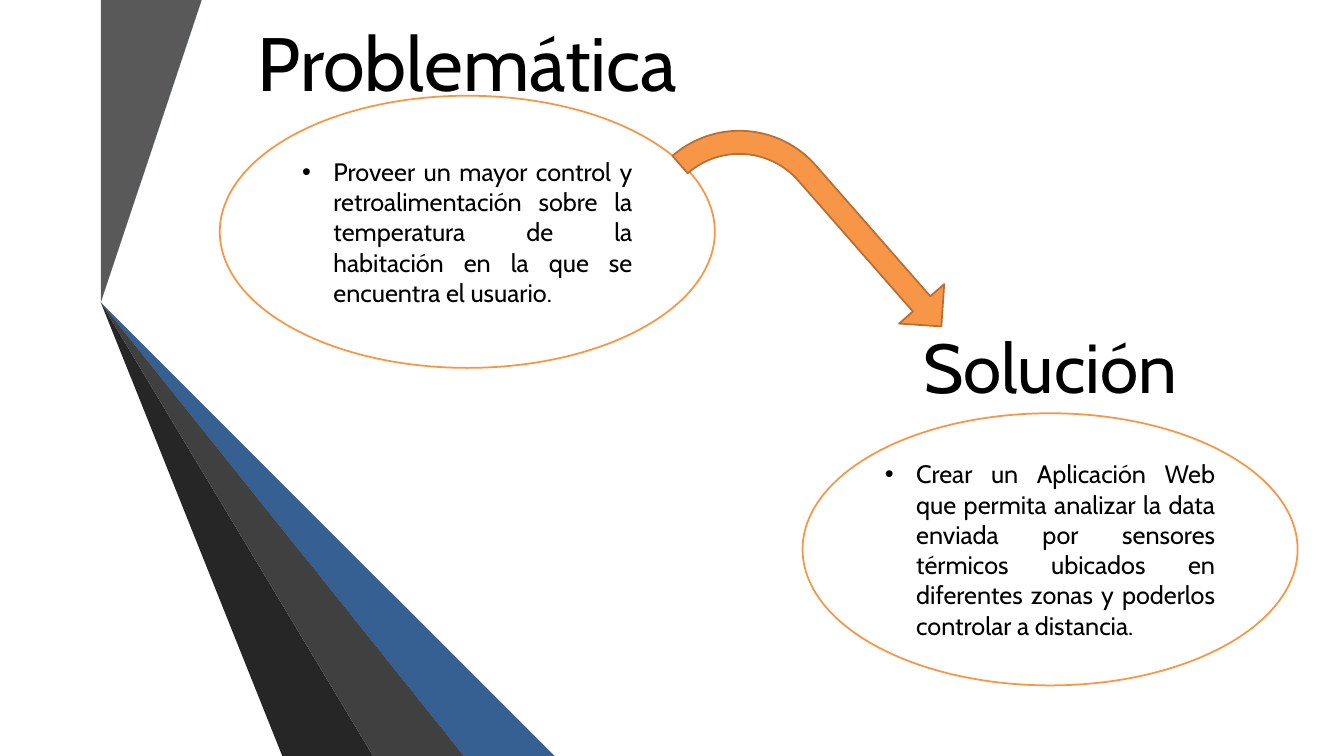
from pptx import Presentation
from pptx.dml.color import RGBColor
from pptx.enum.shapes import MSO_SHAPE
from pptx.enum.text import MSO_ANCHOR, PP_ALIGN
from pptx.util import Inches, Pt
from lxml import etree

OVAL, BENT_ARROW = MSO_SHAPE.OVAL, MSO_SHAPE.BENT_ARROW
MIDDLE, BOTTOM = MSO_ANCHOR.MIDDLE, MSO_ANCHOR.BOTTOM
CENTER, JUSTIFY = PP_ALIGN.CENTER, PP_ALIGN.JUSTIFY
DRAWING_NS = "http://schemas.openxmlformats.org/drawingml/2006/main"
ORANGE, DARK_ORANGE, WHITE, BLACK = "F79646", "B76F34", "FFFFFF", "000000"
BLOCK_WIDTH, TITLE_HEIGHT, OVAL_HEIGHT = 4.91, 0.8, 2.7


def paint(shape, fill, line=None):
    shape.shadow.inherit = False
    shape.fill.solid()
    shape.fill.fore_color.rgb = RGBColor.from_string(fill)
    if line:
        shape.line.color.rgb = RGBColor.from_string(line)
        shape.line.width = Pt(1.25)
    else:
        shape.line.fill.background()


def write(shape, text, size, align, frame_format):
    frame = shape.text_frame
    for name, value in frame_format.items():
        setattr(frame, name, value)
    para = frame.paragraphs[0]
    para.alignment = align
    span = para.add_run()
    span.text = text
    font_format = {"name": "Cabin", "size": Pt(size)}
    for name, value in font_format.items():
        setattr(span.font, name, value)
    span.font.color.rgb = RGBColor.from_string(BLACK)
    return para


deck = Presentation()
deck.slide_width, deck.slide_height = Inches(13.33), Inches(7.5)
page = deck.slides.add_slide(deck.slide_layouts[6])

# Folded ribbons on the left
ribbons = [
    ("4F81BD", [(1.08, 2.94), (1.47, 3.04), (2.24, -0.01), (1.82, -0.01)]),
    ("595959", [(0.99, 2.92), (1.73, -0.01), (1.31, -0.01), (0.6, 2.82)]),
    ("262626", [(0.6, 2.82), (3.41, 7.5), (3.54, 7.5)]),
    ("254061", [(4.73, 7.5), (1.08, 2.94), (4.59, 7.5)]),
    ("376092", [(1.08, 2.94), (4.73, 7.5), (6.08, 7.5), (1.47, 3.04)]),
    ("404040", [(4.52, 7.5), (1.06, 3.01), (0.99, 2.92), (0.6, 2.82), (3.54, 7.5)]),
]
for color, points in ribbons:
    outline = page.shapes.build_freeform(*points[0], scale=Inches(1))
    outline.add_line_segments(points[1:], close=True)
    paint(outline.convert_to_shape(), color)

# Title above an oval, once for the problem and once for the solution
blocks = [
    (2.18, 0.26, 0.95, "Problemática", 54,
     "Proveer un mayor control y retroalimentación sobre la temperatura "
     "de la habitación en la que se encuentra el usuario."),
    (7.96, 3.24, 4.1, "Solución", 49.5,
     "Crear un Aplicación Web que permita analizar la data enviada por sensores "
     "térmicos ubicados en diferentes zonas y poderlos controlar a distancia."),
]
title_format = {"word_wrap": True, "vertical_anchor": BOTTOM,
                "margin_top": 0, "margin_bottom": 0}
oval_format = {"word_wrap": True, "vertical_anchor": MIDDLE}
for left, title_top, oval_top, heading, heading_size, body in blocks:
    title = page.shapes.add_textbox(Inches(left), Inches(title_top),
                                    Inches(BLOCK_WIDTH), Inches(TITLE_HEIGHT))
    write(title, heading, heading_size, CENTER, title_format)

    oval = page.shapes.add_shape(OVAL, Inches(left), Inches(oval_top),
                                 Inches(BLOCK_WIDTH), Inches(OVAL_HEIGHT))
    paint(oval, WHITE, ORANGE)
    para = write(oval, body, 18, JUSTIFY, oval_format)
    bullet_props = para._p.get_or_add_pPr()
    bullet_props.set("marL", str(Inches(0.31)))
    bullet_props.set("indent", str(-Inches(0.31)))
    for tag, key, value in [("buFont", "typeface", "Arial"), ("buChar", "char", "•")]:
        etree.SubElement(bullet_props, f"{{{DRAWING_NS}}}{tag}").set(key, value)

# Arrow from problem to solution
arrow = page.shapes.add_shape(BENT_ARROW, Inches(6.6), Inches(1.7),
                              Inches(3.03), Inches(1.19))
arrow.rotation = 48.8
for index, share in enumerate([0.193, 0.25, 0.25, 0.875]):
    arrow.adjustments[index] = share
paint(arrow, ORANGE, DARK_ORANGE)

deck.save("out.pptx")
